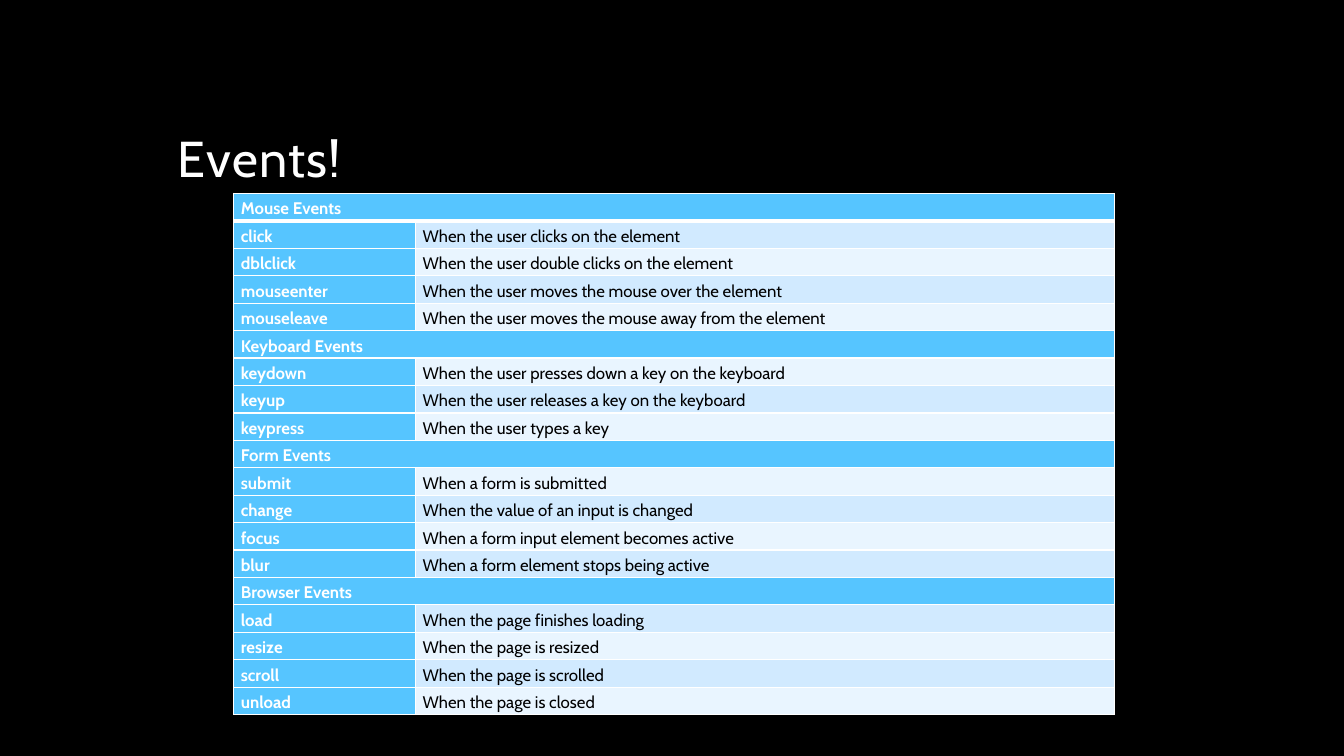
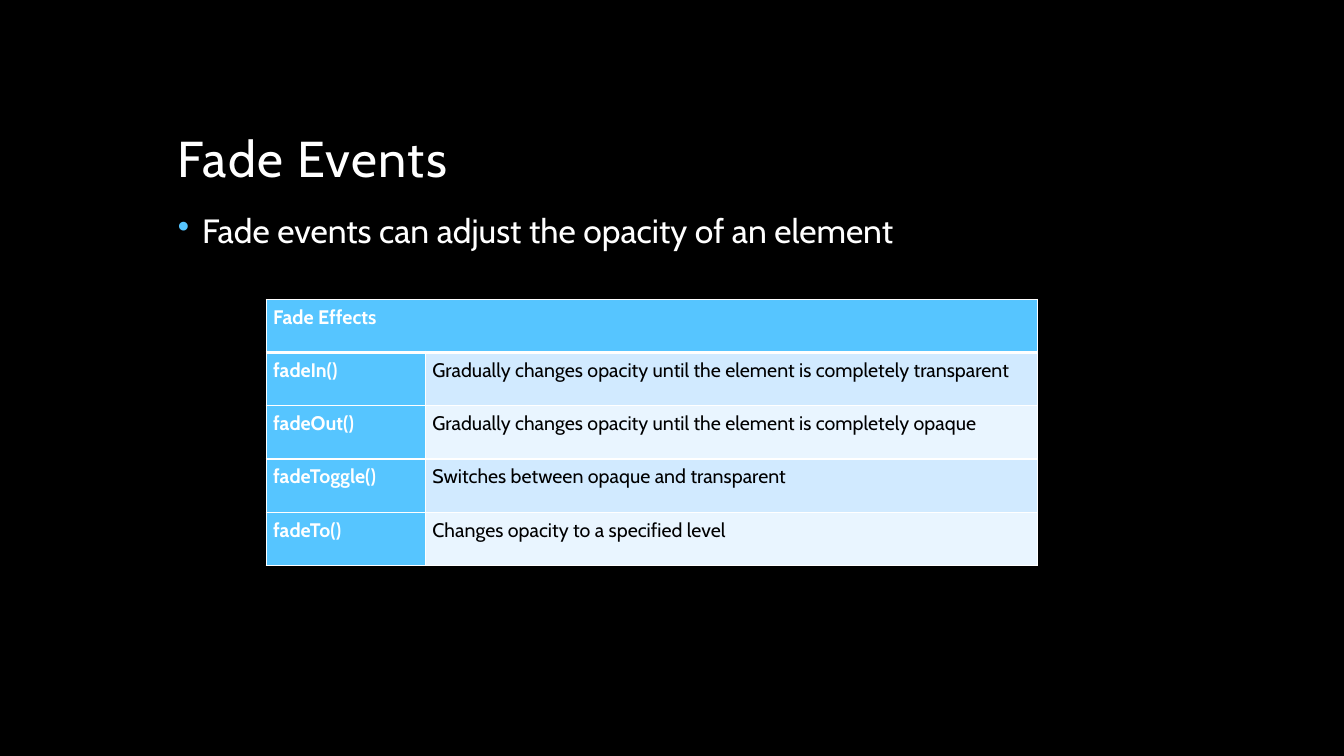
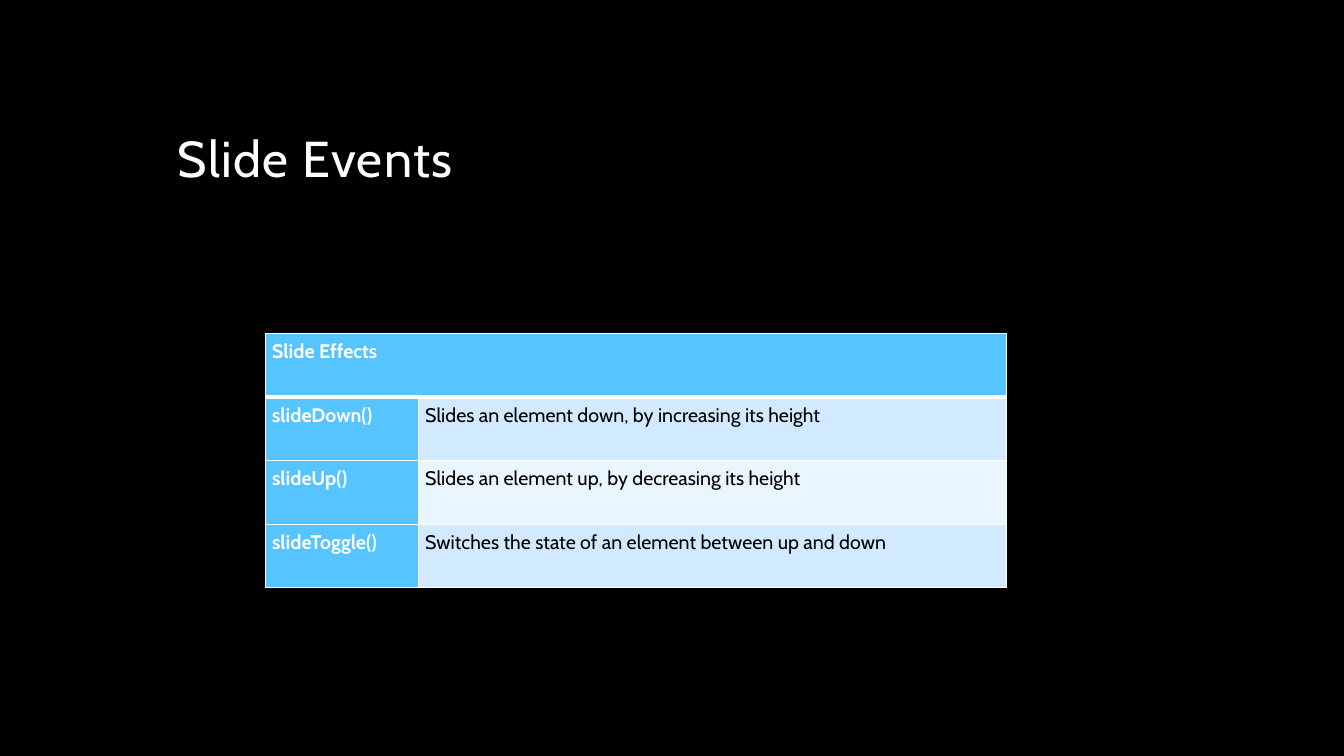
from lxml import etree
from pptx import Presentation
from pptx.dml.color import RGBColor
from pptx.enum.text import MSO_ANCHOR, PP_ALIGN
from pptx.oxml.ns import qn
from pptx.util import Emu, Inches, Pt

JUSTIFY = PP_ALIGN.JUSTIFY
BOTTOM = MSO_ANCHOR.BOTTOM
TOP = MSO_ANCHOR.TOP

WIDTH, HEIGHT = Inches(13.33), Inches(7.5)
FONT = "Cabin"
BLACK, WHITE, ACCENT = "000000", "FFFFFF", "56C5FF"
BANDS = ("E9F5FF", "D1EAFF")
TITLE_BOX = (12.5, 5.6, 75, 20)
BODY_BOX = (12.5, 27.73, 75, 60)
LABEL_SHARE = 20.65

EVENT_ROWS = [
    ("Mouse Events",),
    ("click", "When the user clicks on the element"),
    ("dblclick", "When the user double clicks on the element"),
    ("mouseenter", "When the user moves the mouse over the element"),
    ("mouseleave", "When the user moves the mouse away from the element"),
    ("Keyboard Events",),
    ("keydown", "When the user presses down a key on the keyboard"),
    ("keyup", "When the user releases a key on the keyboard"),
    ("keypress", "When the user types a key"),
    ("Form Events",),
    ("submit", "When a form is submitted"),
    ("change", "When the value of an input is changed"),
    ("focus", "When a form input element becomes active"),
    ("blur", "When a form element stops being active"),
    ("Browser Events",),
    ("load", "When the page finishes loading"),
    ("resize", "When the page is resized"),
    ("scroll", "When the page is scrolled"),
    ("unload", "When the page is closed"),
]
FADE_ROWS = [
    ("Fade Effects",),
    ("fadeIn()", "Gradually changes opacity until the element is completely transparent"),
    ("fadeOut()", "Gradually changes opacity until the element is completely opaque"),
    ("fadeToggle()", "Switches between opaque and transparent"),
    ("fadeTo()", "Changes opacity to a specified level"),
]
SLIDE_ROWS = [
    ("Slide Effects",),
    ("slideDown()", "Slides an element down, by increasing its height"),
    ("slideUp()", "Slides an element up, by decreasing its height"),
    ("slideToggle()", "Switches the state of an element between up and down"),
]


def paint(target, color):
    target.solid()
    target.fore_color.rgb = RGBColor.from_string(color)


def place(box):
    left, top, width, height = box
    return [Emu(round(share * side / 100)) for share, side in
            ((left, WIDTH), (top, HEIGHT), (width, WIDTH), (height, HEIGHT))]


def write(frame, text, size, color, spacing, bold=False):
    para = frame.paragraphs[0]
    para.text = text
    para.line_spacing = spacing
    font = para.runs[0].font
    font.name, font.size, font.bold = FONT, Pt(size), bold
    paint(font.fill, color)
    return para


def add_text(page, box, text, size, anchor):
    frame = page.shapes.add_textbox(*place(box)).text_frame
    frame.word_wrap = True
    frame.vertical_anchor = anchor
    return write(frame, text, size, WHITE, 0.9)


def add_title(page, text):
    para = add_text(page, TITLE_BOX, text, 36, BOTTOM)
    para.runs[0]._r.get_or_add_rPr().set("spc", "100")


def add_bullet(page, text):
    para = add_text(page, BODY_BOX, text, 24, TOP)
    para.space_before = Pt(18)
    properties = para._p.get_or_add_pPr()
    indent = Inches(0.24)
    properties.set("marL", str(indent))
    properties.set("indent", str(-indent))
    color = etree.SubElement(properties, qn("a:buClr"))
    etree.SubElement(color, qn("a:srgbClr"), val=ACCENT)
    etree.SubElement(properties, qn("a:buChar"), char="•")


def add_borders(cell, row):
    properties = cell._tc.get_or_add_tcPr()
    weights = {"L": 1, "R": 1, "T": 3 if row == 1 else 1, "B": 3 if row == 0 else 1}
    for side, weight in weights.items():
        line = etree.SubElement(properties, qn(f"a:ln{side}"), w=str(Pt(weight)))
        fill = etree.SubElement(line, qn("a:solidFill"))
        etree.SubElement(fill, qn("a:srgbClr"), val=WHITE)


def format_cell(cell, row, fill):
    add_borders(cell, row)
    paint(cell.fill, fill)
    cell.margin_left = cell.margin_right = Inches(0.07)
    cell.margin_top = cell.margin_bottom = 0


def add_event_table(page, box, rows, size):
    left, top, width, height = place(box)
    table = page.shapes.add_table(len(rows), 2, left, top, width, height).table
    label_width = round(width * LABEL_SHARE / 100)
    table.columns[0].width = label_width
    table.columns[1].width = width - label_width
    for index, texts in enumerate(rows):
        table.rows[index].height = height // len(rows)
        label, detail = table.cell(index, 0), table.cell(index, 1)
        is_heading = len(texts) == 1
        format_cell(label, index, ACCENT)
        format_cell(detail, index, ACCENT if is_heading else BANDS[index % 2])
        write(label.text_frame, texts[0], size, WHITE, 1.25, True).alignment = JUSTIFY
        if is_heading:
            label.merge(detail)
        else:
            write(detail.text_frame, texts[1], size, BLACK, 1.25).alignment = JUSTIFY


def add_event_page(deck, title, box, rows, size, bullet=None):
    page = deck.slides.add_slide(deck.slide_layouts[6])
    add_title(page, title)
    if bullet:
        add_bullet(page, bullet)
    add_event_table(page, box, rows, size)


def main():
    deck = Presentation()
    deck.slide_width, deck.slide_height = WIDTH, HEIGHT
    paint(deck.slide_master.background.fill, BLACK)
    add_event_page(deck, "Events!", (17.4, 25.6, 65.5, 68.93), EVENT_ROWS, 12)
    add_event_page(deck, "Fade Events", (19.8, 39.6, 57.39, 35.2), FADE_ROWS, 14,
                   "Fade events can adjust the opacity of an element")
    add_event_page(deck, "Slide Events", (19.73, 44.13, 55.14, 33.6), SLIDE_ROWS, 14)
    deck.save("out.pptx")


if __name__ == "__main__":
    main()
